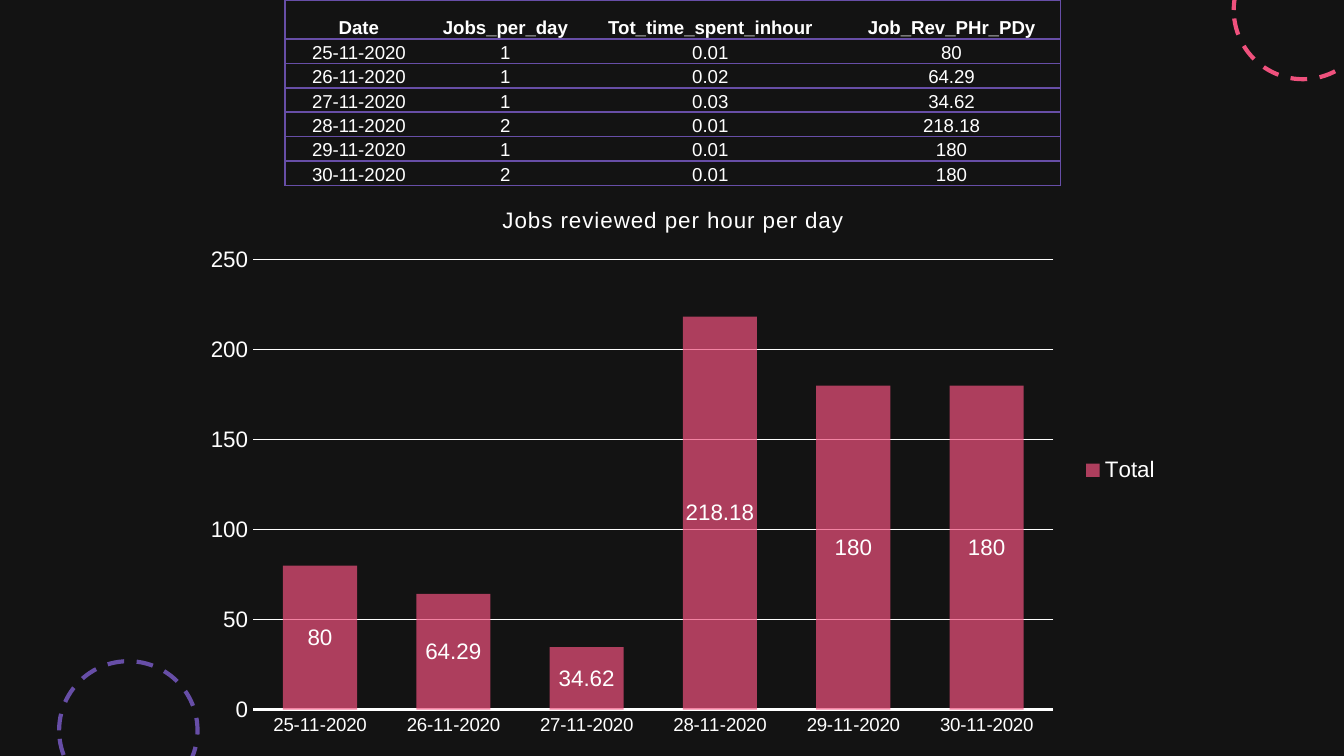
from dataclasses import dataclass

from lxml import etree
from pptx import Presentation
from pptx.chart.data import CategoryChartData
from pptx.dml.color import RGBColor
from pptx.enum.chart import XL_CHART_TYPE, XL_LABEL_POSITION, XL_LEGEND_POSITION, XL_TICK_MARK
from pptx.enum.dml import MSO_LINE
from pptx.enum.shapes import MSO_SHAPE
from pptx.enum.text import MSO_ANCHOR, PP_ALIGN
from pptx.oxml.ns import qn
from pptx.util import Inches, Pt

COLUMN = XL_CHART_TYPE.COLUMN_CLUSTERED
LABEL_CENTER = XL_LABEL_POSITION.CENTER
LEGEND_RIGHT = XL_LEGEND_POSITION.RIGHT
NO_TICK = XL_TICK_MARK.NONE
DASH = MSO_LINE.DASH
ELLIPSE = MSO_SHAPE.OVAL
BOTTOM = MSO_ANCHOR.BOTTOM
CENTER = PP_ALIGN.CENTER


@dataclass(frozen=True)
class Theme:
    background: str = "131313"
    text: str = "FFFFFF"
    pink: str = "EF517D"
    purple: str = "674EA7"
    font: str = "Arial"
    small: int = 10
    medium: int = 12


@dataclass(frozen=True)
class Ring:
    left: float
    top: float
    color: str


@dataclass(frozen=True)
class Day:
    date: str
    jobs: int
    hours: float
    rate: float


THEME = Theme()
SLIDE_WIDTH = 10
RINGS = [Ring(9.18, -0.44, THEME.pink), Ring(0.44, 4.92, THEME.purple)]
RING_SIZE = 1.03
HEADERS = ["Date", "Jobs_per_day", "Tot_time_spent_inhour", "Job_Rev_PHr_PDy"]
DAYS = [
    Day("25-11-2020", 1, 0.01, 80),
    Day("26-11-2020", 1, 0.02, 64.29),
    Day("27-11-2020", 1, 0.03, 34.62),
    Day("28-11-2020", 2, 0.01, 218.18),
    Day("29-11-2020", 1, 0.01, 180),
    Day("30-11-2020", 2, 0.01, 180),
]
COLUMN_WIDTHS = [1.1, 1.08, 1.97, 1.62]
TABLE_HEIGHT = 1.38
HEADER_HEIGHT = 0.29
TITLE_SHARE = 0.35


def rgb(color: str) -> RGBColor:
    return RGBColor.from_string(color)


def style_font(font, size: int, bold: bool = False) -> None:
    font.name = THEME.font
    font.size = Pt(size)
    font.bold = bold
    font.color.rgb = rgb(THEME.text)


def add_ring(slide, ring: Ring) -> None:
    sp = slide.shapes.add_shape(ELLIPSE, Inches(ring.left), Inches(ring.top),
                                Inches(RING_SIZE), Inches(RING_SIZE))
    sp.shadow.inherit = False
    sp.fill.background()
    sp.line.color.rgb = rgb(ring.color)
    sp.line.width = Pt(2.25)
    sp.line.dash_style = DASH


def set_layout(parent, index: int, **values) -> None:
    """Give a chart part a manual layout as its child number index."""
    for old in parent.findall(qn("c:layout")):
        parent.remove(old)
    layout = etree.Element(qn("c:layout"))
    manual = etree.SubElement(layout, qn("c:manualLayout"))
    for name, value in values.items():
        etree.SubElement(manual, qn(f"c:{name}")).set("val", str(value))
    parent.insert(index, layout)


def add_chart(slide, days: list[Day]) -> None:
    data = CategoryChartData()
    data.categories = [day.date for day in days]
    data.add_series("Total", [day.rate for day in days])
    chart = slide.shapes.add_chart(COLUMN, Inches(1.29), Inches(1.38),
                                   Inches(7.44), Inches(4.24), data).chart
    style_font(chart.font, THEME.small)

    chart.has_title = True
    p = chart.chart_title.text_frame.paragraphs[0]
    p.text = "Jobs reviewed per hour per day"
    r = p.runs[0]
    style_font(r.font, THEME.medium)
    r._r.get_or_add_rPr().set("spc", "50")
    set_layout(chart.chart_title._element, 1, xMode="edge", yMode="edge",
               x=(1 - TITLE_SHARE) / 2, y=0.03)
    set_layout(chart._chartSpace.chart.plotArea, 0, layoutTarget="inner",
               xMode="edge", yMode="edge", x=0.08, y=0.13, w=0.8, h=0.79)

    chart.has_legend = True
    chart.legend.position = LEGEND_RIGHT
    chart.legend.include_in_layout = False
    style_font(chart.legend.font, THEME.medium)

    dates, rates = chart.category_axis, chart.value_axis
    for axis, size in ((dates, THEME.small), (rates, THEME.medium)):
        axis.major_tick_mark = axis.minor_tick_mark = NO_TICK
        style_font(axis.tick_labels.font, size)
    dates.format.line.color.rgb = rgb(THEME.text)
    dates.format.line.width = Pt(1.25)
    rates.format.line.fill.background()
    rates.minimum_scale, rates.maximum_scale, rates.major_unit = 0, 250, 50
    grid = rates.major_gridlines.format.line
    grid.color.rgb = rgb(THEME.text)
    grid.width = Pt(0.75)

    plot = chart.plots[0]
    plot.gap_width, plot.overlap = 80, 25
    plot.vary_by_categories = False
    series = plot.series[0]
    series.format.fill.solid()
    series.format.fill.fore_color.rgb = rgb(THEME.pink)
    color = series._element.find(f"{qn('c:spPr')}/{qn('a:solidFill')}/{qn('a:srgbClr')}")
    etree.SubElement(color, qn("a:alpha")).set("val", "70000")
    labels = series.data_labels
    labels.show_value = True
    labels.position = LABEL_CENTER
    style_font(labels.font, THEME.medium)


def add_borders(cell, sides: str) -> None:
    """Draw the borders named in sides (from LRTB) and clear the others."""
    tc_pr = cell._tc.get_or_add_tcPr()
    for side in "LRTB":
        line = etree.SubElement(tc_pr, qn(f"a:ln{side}"), w=str(Pt(1)))
        if side in sides:
            fill = etree.SubElement(line, qn("a:solidFill"))
            etree.SubElement(fill, qn("a:srgbClr"), val=THEME.purple)
        else:
            etree.SubElement(line, qn("a:noFill"))


def fill_cell(cell, text: str, bold: bool, sides: str) -> None:
    add_borders(cell, sides)
    cell.fill.solid()
    cell.fill.fore_color.rgb = rgb(THEME.background)
    cell.vertical_anchor = BOTTOM
    cell.margin_left = cell.margin_right = cell.margin_top = Inches(0.01)
    cell.margin_bottom = Inches(0)
    p = cell.text_frame.paragraphs[0]
    p.text = text
    p.alignment = CENTER
    style_font(p.runs[0].font, THEME.small, bold)


def add_table(slide, days: list[Day]) -> None:
    rows = [HEADERS] + [[d.date, str(d.jobs), str(d.hours), str(d.rate)] for d in days]
    table = slide.shapes.add_table(len(rows), len(HEADERS), Inches(2.12), Inches(0),
                                   Inches(sum(COLUMN_WIDTHS)), Inches(TABLE_HEIGHT)).table
    for column, width in zip(table.columns, COLUMN_WIDTHS):
        column.width = Inches(width)
    day_height = (TABLE_HEIGHT - HEADER_HEIGHT) / len(days)
    last = len(HEADERS) - 1
    for i, values in enumerate(rows):
        table.rows[i].height = Inches(day_height if i else HEADER_HEIGHT)
        for j, value in enumerate(values):
            sides = {0: "LTB", last: "RTB"}.get(j, "TB")
            fill_cell(table.cell(i, j), value, i == 0, sides)


def main() -> None:
    prs = Presentation()
    prs.slide_width = Inches(SLIDE_WIDTH)
    prs.slide_height = Inches(SLIDE_WIDTH * 9 / 16)
    s = prs.slides.add_slide(prs.slide_layouts[6])
    s.background.fill.solid()
    s.background.fill.fore_color.rgb = rgb(THEME.background)
    for ring in RINGS:
        add_ring(s, ring)
    add_chart(s, DAYS)
    add_table(s, DAYS)
    prs.save("out.pptx")


if __name__ == "__main__":
    main()
